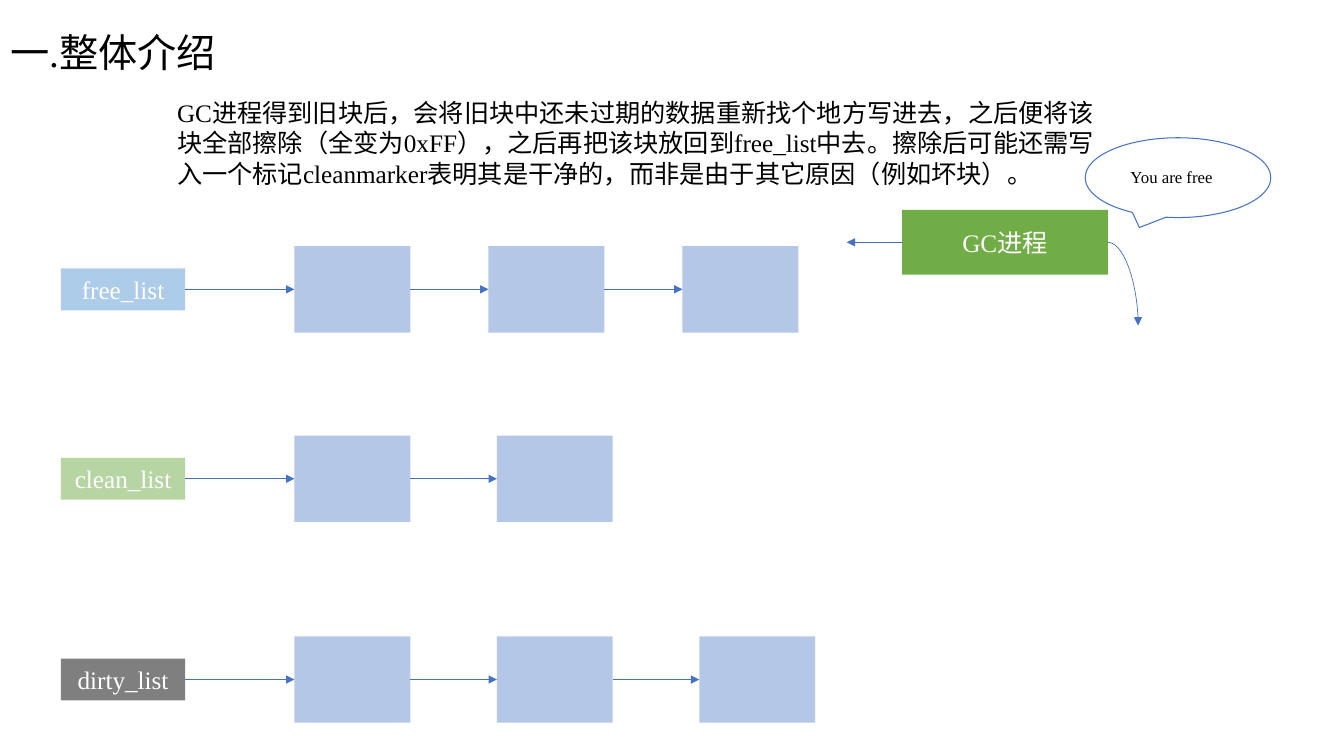
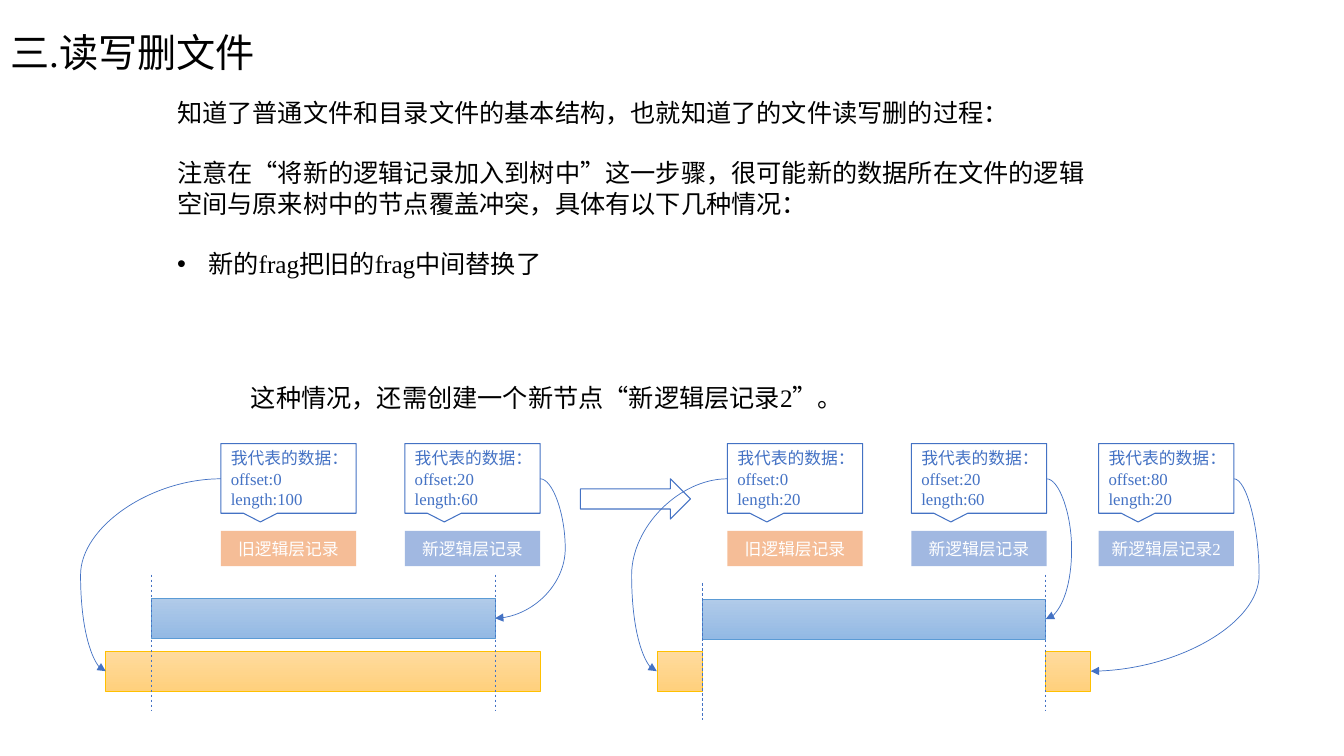
from typing import NamedTuple

from lxml import etree
from pptx import Presentation
from pptx.dml.color import RGBColor
from pptx.enum.dml import MSO_LINE
from pptx.enum.lang import MSO_LANGUAGE_ID
from pptx.enum.shapes import MSO_CONNECTOR, MSO_SHAPE
from pptx.enum.text import MSO_ANCHOR, MSO_AUTO_SIZE, PP_ALIGN
from pptx.oxml.ns import qn
from pptx.util import Emu, Inches, Pt

# Grid of square cells: all lengths below are counted in columns and rows.
COLUMNS, ROWS = 160, 90
CELL = Inches(1 / 12)

FONT = "Times New Roman"
CHINESE = MSO_LANGUAGE_ID.SIMPLIFIED_CHINESE
RECTANGLE = MSO_SHAPE.RECTANGLE
SPEECH_BOX = MSO_SHAPE.RECTANGULAR_CALLOUT
SPEECH_BUBBLE = MSO_SHAPE.OVAL_CALLOUT
RIGHT_ARROW = MSO_SHAPE.RIGHT_ARROW
STRAIGHT, CURVE = MSO_CONNECTOR.STRAIGHT, MSO_CONNECTOR.CURVE
LEFT, CENTER = PP_ALIGN.LEFT, PP_ALIGN.CENTER
MIDDLE = MSO_ANCHOR.MIDDLE
DASH = MSO_LINE.DASH

BLACK = RGBColor(0x00, 0x00, 0x00)
WHITE = RGBColor(0xFF, 0xFF, 0xFF)
BLUE = RGBColor(0x44, 0x72, 0xC4)
PALE_BLUE = RGBColor(0xB4, 0xC7, 0xE7)
SKY = RGBColor(0x5B, 0x9B, 0xD5)
GREEN = RGBColor(0x70, 0xAD, 0x47)
ORANGE = RGBColor(0xED, 0x7D, 0x31)
GOLD = RGBColor(0xFF, 0xC0, 0x00)
SKY_FADE = (RGBColor(0xB1, 0xCB, 0xE9), RGBColor(0x93, 0xB9, 0xE4))
GOLD_FADE = (RGBColor(0xFF, 0xDB, 0x9E), RGBColor(0xFF, 0xD0, 0x7C))

THIN, OUTLINE = 0.5, 0.75
BODY, SMALL = 18, 12


class Point(NamedTuple):
    x: float
    y: float


class Area(NamedTuple):
    left: float
    top: float
    width: float
    height: float

    @property
    def right(self) -> float:
        return self.left + self.width

    @property
    def middle(self) -> float:
        return self.top + self.height / 2


class BlockList(NamedTuple):
    name: str
    color: RGBColor
    middle: float
    blocks: int
    step: float


class Record(NamedTuple):
    left: float
    name: str
    color: RGBColor
    offset: int
    length: int


class Bar(NamedTuple):
    area: Area
    fade: tuple[RGBColor, RGBColor]
    edge: RGBColor


class Curve(NamedTuple):
    start: Point
    end: Point
    bend: float


BLOCK_LEFT, BLOCK_WIDTH, BLOCK_HEIGHT = 35.05, 13.8, 10.3
LABEL_LEFT, LABEL_WIDTH, LABEL_HEIGHT = 7.25, 14.8, 5
BLOCK_LISTS = [
    BlockList("free_list", SKY, 34.45, 3, 23.1),
    BlockList("clean_list", GREEN, 57, 2, 24.1),
    BlockList("dirty_list", BLACK, 80.9, 3, 24.1),
]
COLLECTOR = Area(107.4, 25, 24.5, 7.7)

RECORD_WIDTH = 16.1
RECORD_MIDDLE = 57
RECORDS = [
    Record(26.3, "旧逻辑层记录", ORANGE, 0, 100),
    Record(48.2, "新逻辑层记录", BLUE, 20, 60),
    Record(86.6, "旧逻辑层记录", ORANGE, 0, 20),
    Record(108.5, "新逻辑层记录", BLUE, 20, 60),
    Record(130.8, "新逻辑层记录2", BLUE, 80, 20),
]
OLD_DATA = Area(12.6, 77.5, 51.7, 4.8)
NEW_DATA = Area(18.05, 71.2, 40.9, 4.8)
OLD_HEAD = Area(78.2, 77.5, 5.4, 4.8)
NEW_MIDDLE = Area(83.6, 71.3, 40.9, 4.8)
OLD_TAIL = Area(124.45, 77.5, 5.4, 4.8)
BARS = [Bar(area, GOLD_FADE, GOLD) for area in (OLD_DATA, OLD_HEAD, OLD_TAIL)]
BARS += [Bar(area, SKY_FADE, SKY) for area in (NEW_DATA, NEW_MIDDLE)]
CUT_HEIGHT = 16.3
CUTS = [
    Point(NEW_DATA.left, 68.4),
    Point(NEW_DATA.right, 68.4),
    Point(NEW_MIDDLE.left, 69.4),
    Point(OLD_TAIL.left, 68.4),
]
BULGE = 3


def grid(cells: float) -> Emu:
    return Emu(round(cells * CELL))


def place(shape, area: Area) -> None:
    shape.left, shape.top = grid(area.left), grid(area.top)
    shape.width, shape.height = grid(area.width), grid(area.height)


def write(shape, lines: list[str], size: float, color: RGBColor, align=LEFT) -> None:
    frame = shape.text_frame
    frame.word_wrap = True
    frame.text = "\n".join(lines)
    for para in frame.paragraphs:
        para.alignment = align
        for span in para.runs:
            font = span.font
            font.name, font.size, font.language_id = FONT, Pt(size), CHINESE
            font.color.rgb = color


def add_page(deck, title: str, width: float):
    page = deck.slides.add_slide(deck.slide_layouts[5])
    place(page.shapes.title, Area(0, 0, width, 13.1))
    write(page.shapes.title, [title], 28, BLACK)
    frame = page.shapes.title.text_frame
    frame.auto_size, frame.vertical_anchor = MSO_AUTO_SIZE.NONE, MIDDLE
    frame.paragraphs[0].line_spacing = 0.9
    return page


def add_text(page, area: Area, lines: list[str], size: float = BODY):
    box = page.shapes.add_textbox(0, 0, 0, 0)
    place(box, area)
    write(box, lines, size, BLACK)
    box.text_frame.auto_size = MSO_AUTO_SIZE.SHAPE_TO_FIT_TEXT
    return box


def add_plain_shape(page, kind, area: Area):
    """Add a preset shape without shadow, fill or line."""
    shape = page.shapes.add_shape(kind, 0, 0, 0, 0)
    place(shape, area)
    shape.shadow.inherit = False
    shape.fill.background()
    shape.line.fill.background()
    return shape


def add_box(page, area: Area, color: RGBColor, text: str = "",
            size: float = BODY, half_clear: bool = False) -> None:
    box = add_plain_shape(page, RECTANGLE, area)
    box.fill.solid()
    box.fill.fore_color.rgb = color
    if half_clear:
        tint = box.fill._xPr.find(qn("a:solidFill"))[0]
        etree.SubElement(tint, qn("a:alpha"), val="50000")
    if text:
        write(box, [text], size, WHITE, CENTER)


def add_outline(page, kind, area: Area):
    shape = add_plain_shape(page, kind, area)
    shape.line.color.rgb, shape.line.width = BLUE, Pt(OUTLINE)
    return shape


def add_line(page, start: Point, end: Point, kind=STRAIGHT, arrow: bool = True):
    line = page.shapes.add_connector(kind, *map(grid, (*start, *end)))
    line.line.color.rgb, line.line.width = BLUE, Pt(THIN)
    properties = line._element.spPr
    if arrow:
        etree.SubElement(properties.find(qn("a:ln")), qn("a:tailEnd"), type="triangle")
    etree.SubElement(properties, qn("a:effectLst"))
    return line


def add_curve(page, curve: Curve) -> None:
    """Draw an S or C curve whose middle section runs at column `bend`."""
    line = add_line(page, curve.start, curve.end, CURVE)
    share = (curve.bend - curve.start.x) / (curve.end.x - curve.start.x)
    geometry = line._element.spPr.find(qn("a:prstGeom"))
    guides = geometry.find(qn("a:avLst"))
    if guides is None:
        guides = etree.SubElement(geometry, qn("a:avLst"))
    etree.SubElement(guides, qn("a:gd"), name="adj1", fmla=f"val {round(share * 100000)}")


def add_quarter_curve(page, start: Point, end: Point) -> None:
    line = add_line(page, start, end, CURVE)
    line._element.spPr.find(qn("a:prstGeom")).set("prst", "curvedConnector2")


def add_bullet(para) -> None:
    properties = para._p.get_or_add_pPr()
    indent = Inches(0.31)
    properties.set("marL", str(indent))
    properties.set("indent", str(-indent))
    etree.SubElement(properties, qn("a:buFont"), typeface="Arial")
    etree.SubElement(properties, qn("a:buChar"), char="•")


def add_block_list(page, chain: BlockList) -> None:
    label = Area(LABEL_LEFT, chain.middle - LABEL_HEIGHT / 2, LABEL_WIDTH, LABEL_HEIGHT)
    add_box(page, label, chain.color, chain.name, half_clear=True)
    previous = label
    for index in range(chain.blocks):
        block = Area(BLOCK_LEFT + index * chain.step, chain.middle - BLOCK_HEIGHT / 2,
                     BLOCK_WIDTH, BLOCK_HEIGHT)
        add_box(page, block, PALE_BLUE)
        add_line(page, Point(previous.right, chain.middle), Point(block.left, chain.middle))
        previous = block


def add_record(page, record: Record) -> None:
    add_box(page, Area(record.left, 63.2, RECORD_WIDTH, 4.2), record.color,
            record.name, SMALL, half_clear=True)
    speech = add_outline(page, SPEECH_BOX, Area(record.left, 52.8, RECORD_WIDTH, 8.3))
    lines = ["我代表的数据：", f"offset:{record.offset}", f"length:{record.length}"]
    write(speech, lines, SMALL, BLUE)


def add_bar(page, bar: Bar) -> None:
    shape = add_plain_shape(page, RECTANGLE, bar.area)
    shape.fill.gradient()
    shape.fill.gradient_angle = 270
    for stop, color in zip(shape.fill.gradient_stops, bar.fade):
        stop.color.rgb = color
    shape.line.color.rgb, shape.line.width = bar.edge, Pt(THIN)


def curve_left(record: Record, bar: Area) -> Curve:
    return Curve(Point(record.left, RECORD_MIDDLE), Point(bar.left, bar.middle),
                 bar.left - BULGE)


def curve_right(record: Record, bar: Area) -> Curve:
    edge = record.left + RECORD_WIDTH
    return Curve(Point(edge, RECORD_MIDDLE), Point(max(bar.right, 0), bar.middle),
                 edge + BULGE)


def build_overview(deck) -> None:
    page = add_page(deck, "一.整体介绍", 38.6)
    add_text(page, Area(19.9, 11, 112.3, 12.1), [
        "GC进程得到旧块后，会将旧块中还未过期的数据重新找个地方写进去，之后便将该块全部擦除"
        "（全变为0xFF），之后再把该块放回到free_list中去。擦除后可能还需写入一个标记cleanmarker"
        "表明其是干净的，而非是由于其它原因（例如坏块）。"])
    for chain in BLOCK_LISTS:
        add_block_list(page, chain)
    add_box(page, COLLECTOR, GREEN, "GC进程")
    add_curve(page, Curve(Point(COLLECTOR.left, COLLECTOR.middle),
                          Point(100.8, COLLECTOR.middle), 104.1))
    add_quarter_curve(page, Point(COLLECTOR.right, COLLECTOR.middle), Point(135.5, 38.75))
    add_outline(page, SPEECH_BUBBLE, Area(129.2, 16.4, 22.1, 9.5))
    add_text(page, Area(133.4, 19.3, 13.8, 3.6), ["You are free"], SMALL)


def build_file_changes(deck) -> None:
    page = add_page(deck, "三.读写删文件", 56.3)
    body = add_text(page, Area(19.9, 11, 112.3, 23), [
        "知道了普通文件和目录文件的基本结构，也就知道了的文件读写删的过程：",
        "注意在“将新的逻辑记录加入到树中”这一步骤，很可能新的数据所在文件的逻辑空间与原来树中的节点"
        "覆盖冲突，具体有以下几种情况：",
        "新的frag把旧的frag中间替换了"])
    paragraphs = body.text_frame.paragraphs
    for para in paragraphs[1:]:
        para.space_before = Pt(21.5)
    add_bullet(paragraphs[-1])
    add_text(page, Area(28.7, 44.9, 102.5, 4.8), ["这种情况，还需创建一个新节点“新逻辑层记录2”。"])
    add_outline(page, RIGHT_ARROW, Area(69.1, 57, 13.1, 4.8))
    for bar in BARS:
        add_bar(page, bar)
    for record in RECORDS:
        add_record(page, record)
    for cut in CUTS:
        line = add_line(page, cut, Point(cut.x, cut.y + CUT_HEIGHT), arrow=False)
        line.line.dash_style = DASH
    old, new, old_head, new_middle, old_tail = RECORDS
    add_curve(page, curve_left(old, OLD_DATA))
    add_curve(page, curve_right(new, NEW_DATA))
    add_curve(page, curve_left(old_head, OLD_HEAD))
    add_curve(page, curve_right(new_middle, NEW_MIDDLE))
    add_curve(page, curve_right(old_tail, OLD_TAIL))


def main() -> None:
    deck = Presentation()
    deck.slide_width, deck.slide_height = grid(COLUMNS), grid(ROWS)
    build_overview(deck)
    build_file_changes(deck)
    deck.save("out.pptx")


if __name__ == "__main__":
    main()
